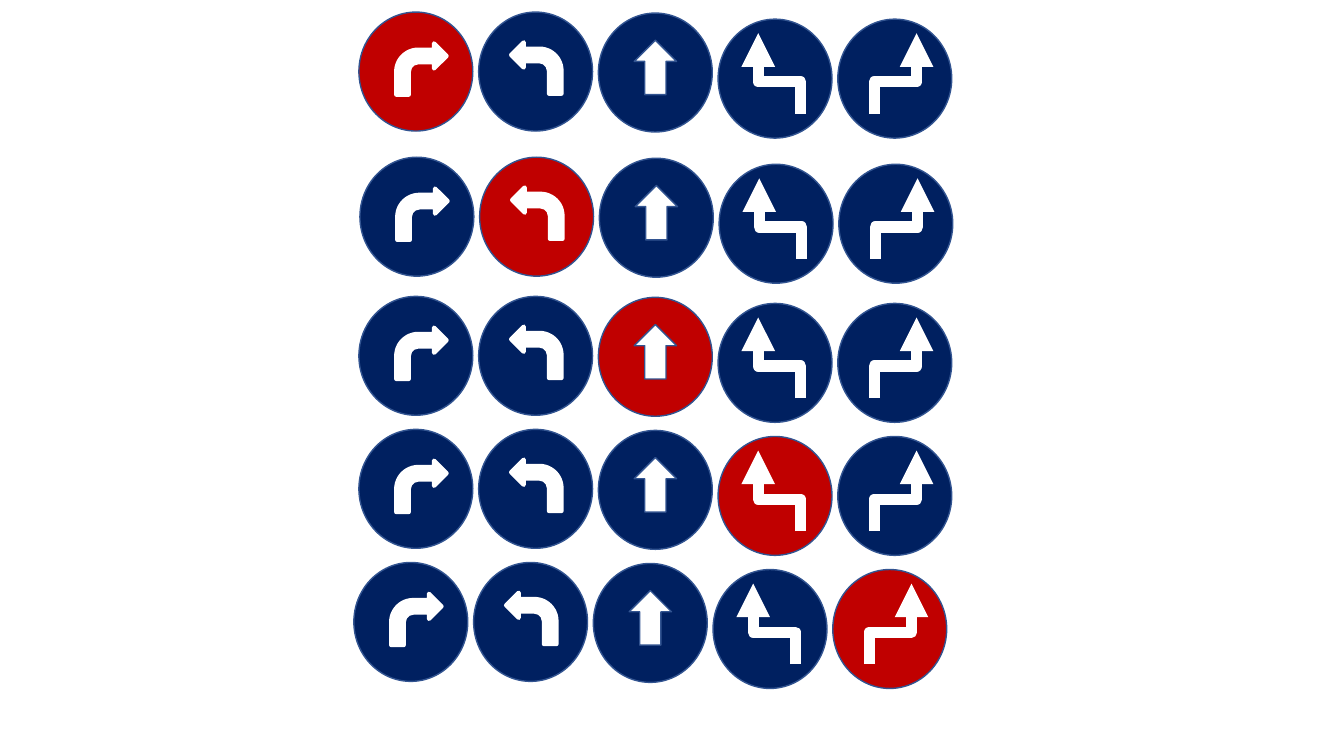
from lxml import etree
from pptx import Presentation
from pptx.dml.color import RGBColor
from pptx.enum import shapes
from pptx.oxml import ns
from pptx.util import Inches, Pt

COLOURS = {"active": "C00000", "idle": "002060", "outline": "325491", "arrow": "FFFFFF"}
KINDS = shapes.MSO_SHAPE

# Left and top of each row; the sign on the diagonal is the active one.
ROWS = [(3.56, 0.12), (3.57, 1.56), (3.56, 2.94), (3.56, 4.26), (3.51, 5.58)]
SIGN_SIZE = (1.13, 1.18)
SIGN_PITCH = (8.31 - 3.56) / 4
SIGN_DROPS = [0, 0, 0.01, 0.07, 0.07]

# Block arrows: kind, place in the row, size, outline colour and width, flip
BLOCK_ARROWS = [
    (KINDS.BENT_ARROW, (0.37, 0.31), (0.5, 0.51), "arrow", 3, {}),
    (KINDS.BENT_ARROW, (1.51, 0.3), (0.5, 0.51), "arrow", 3, {"flipH": "1"}),
    (KINDS.DOWN_ARROW, (2.73, 0.28), (0.42, 0.54), "outline", 1, {"flipV": "1"}),
]
# Lane arrows, before turning: begin and end in the row, then the turn in degrees
LANE_ARROWS = [
    ((5.72, 0.82), (4.92, 0.4), 90),
    ((3.77, 0.82), (4.57, 0.4), 270),
]
LANE_WIDTH = 8
LANE_BEND = 39700


def add_block(slide, kind, place, size, fill, outline, width, flip):
    """Add a filled preset shape, flipped if asked."""
    shape = slide.shapes.add_shape(kind, *map(Inches, place + size))
    shape.shadow.inherit = False
    shape.fill.solid()
    shape.fill.fore_color.rgb = RGBColor.from_string(COLOURS[fill])
    shape.line.color.rgb = RGBColor.from_string(COLOURS[outline])
    shape.line.width = Pt(width)
    for name, value in flip.items():
        shape._element.spPr.xfrm.set(name, value)


def add_lane_arrow(slide, begin, end, turn):
    """Add a turned elbow connector with a triangle head."""
    connector = slide.shapes.add_connector(
        shapes.MSO_CONNECTOR.ELBOW, *map(Inches, begin + end))
    connector.line.color.rgb = RGBColor.from_string(COLOURS["arrow"])
    connector.line.width = Pt(LANE_WIDTH)
    properties = connector._element.spPr
    properties.xfrm.set("rot", str(turn * 60000))
    guides = properties.find(ns.qn("a:prstGeom")).get_or_add_avLst()
    etree.SubElement(guides, ns.qn("a:gd"), name="adj1", fmla=f"val {LANE_BEND}")
    etree.SubElement(connector.line._get_or_add_ln(), ns.qn("a:tailEnd"), type="triangle")
    etree.SubElement(properties, ns.qn("a:effectLst"))


def add_row(slide, left, top, active):
    """Add five round signs, one of them active, and their arrows."""
    def place(offset):
        """Move a place within the row onto the slide."""
        return left + offset[0], top + offset[1]

    for column, drop in enumerate(SIGN_DROPS):
        fill = "active" if column == active else "idle"
        add_block(slide, KINDS.OVAL, place((column * SIGN_PITCH, drop)), SIGN_SIZE,
                  fill, "outline", 1, {})
    for kind, offset, size, outline, width, flip in BLOCK_ARROWS:
        add_block(slide, kind, place(offset), size, "arrow", outline, width, flip)
    for begin, end, turn in LANE_ARROWS:
        add_lane_arrow(slide, place(begin), place(end), turn)


presentation = Presentation()
presentation.slide_width, presentation.slide_height = Inches(13.33), Inches(7.5)
slide = presentation.slides.add_slide(presentation.slide_layouts[6])
for row, (left, top) in enumerate(ROWS):
    add_row(slide, left, top, row)
presentation.save("out.pptx")
